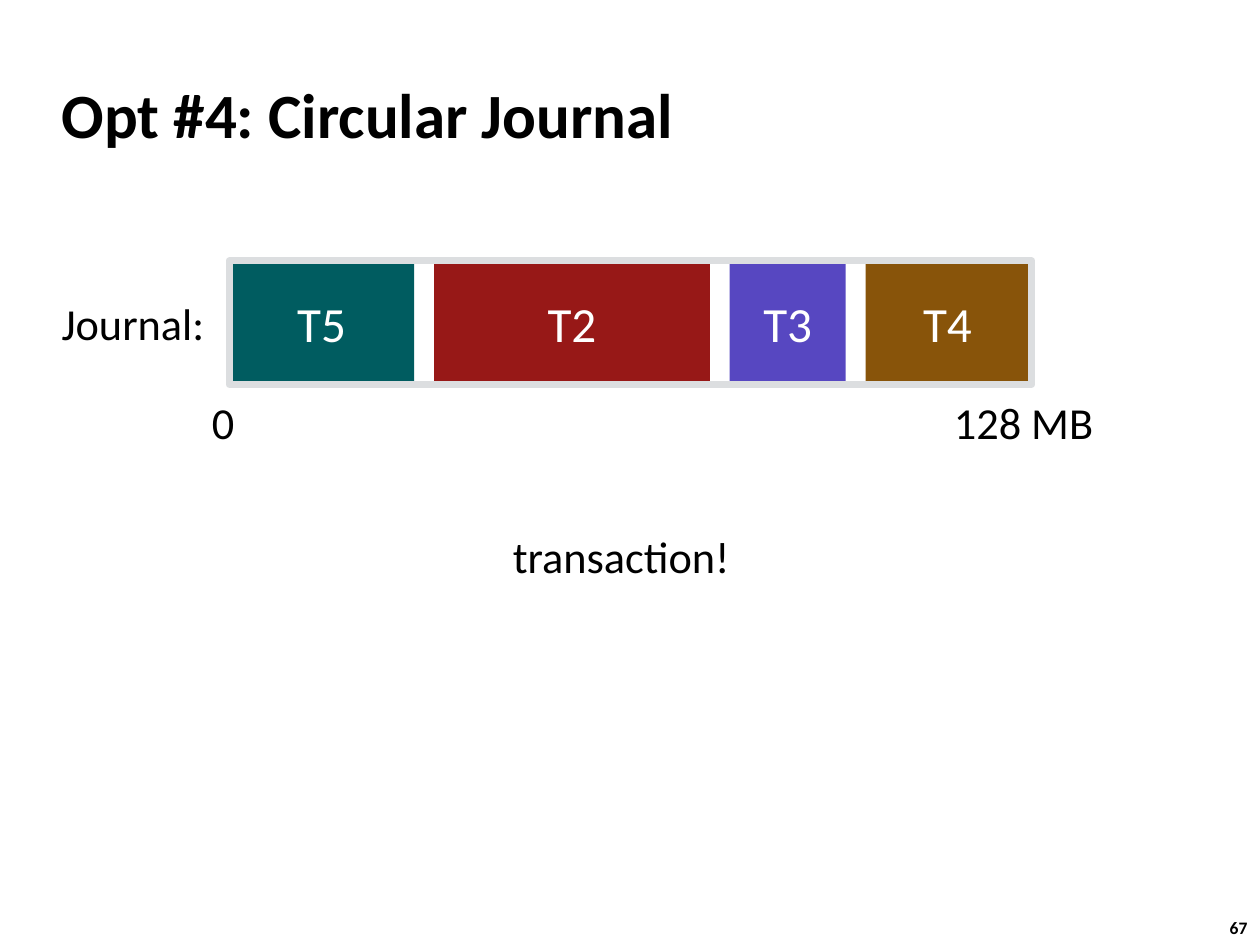
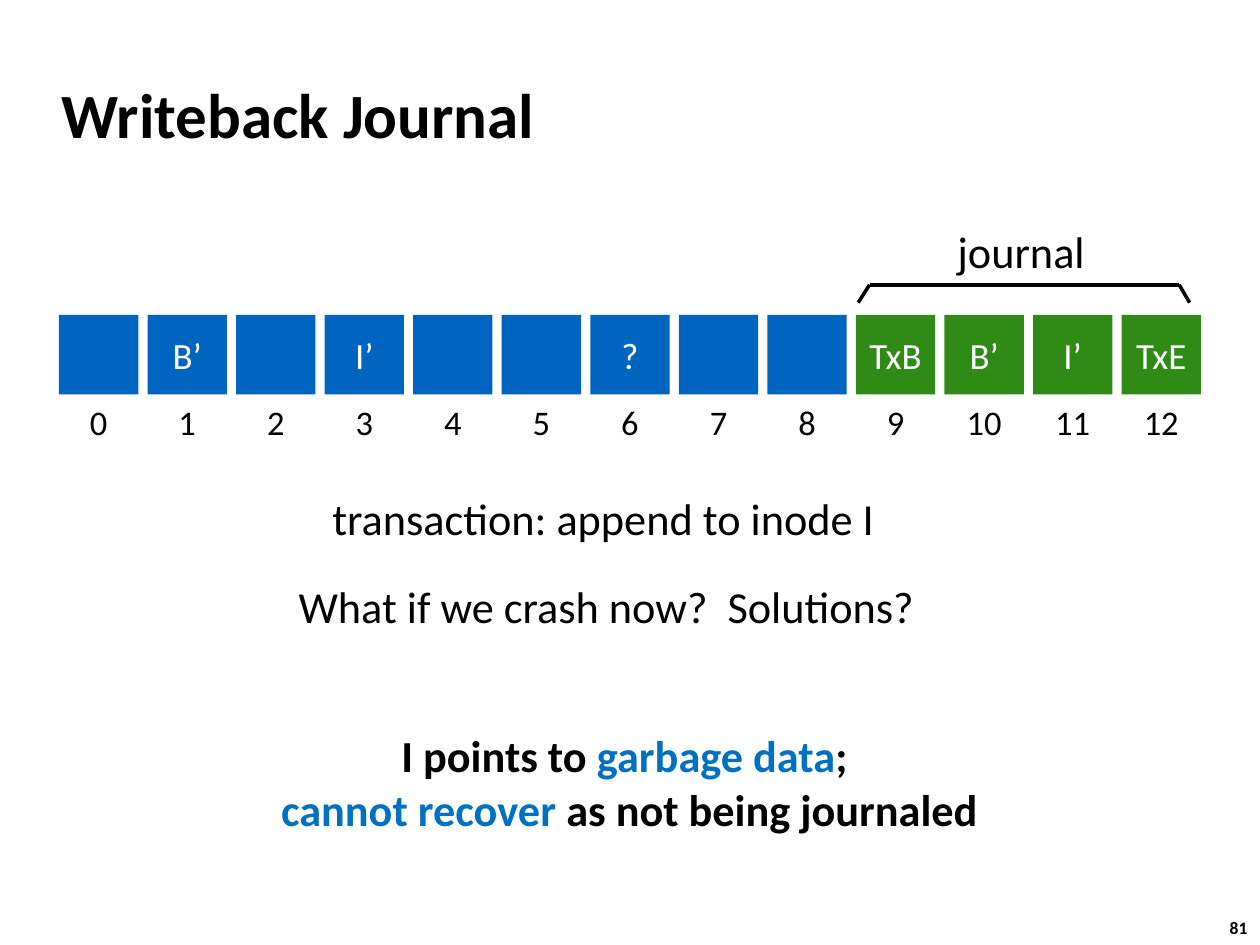
from lxml import etree
from pptx import Presentation
from pptx.dml.color import RGBColor
from pptx.enum.shapes import MSO_CONNECTOR, MSO_SHAPE
from pptx.enum.text import MSO_ANCHOR, PP_ALIGN
from pptx.oxml.ns import qn
from pptx.util import Cm, Pt

RECT = MSO_SHAPE.RECTANGLE
STRAIGHT = MSO_CONNECTOR.STRAIGHT
MIDDLE, TOP = MSO_ANCHOR.MIDDLE, MSO_ANCHOR.TOP
LEFT, CENTER, RIGHT = PP_ALIGN.LEFT, PP_ALIGN.CENTER, PP_ALIGN.RIGHT

BLACK = RGBColor(0x00, 0x00, 0x00)
WHITE = RGBColor(0xFF, 0xFF, 0xFF)
FRAME_GREY = RGBColor(0xDC, 0xDE, 0xE0)
TEAL = RGBColor(0x00, 0x5C, 0x60)
RED = RGBColor(0x97, 0x18, 0x17)
PURPLE = RGBColor(0x57, 0x47, 0xC1)
BROWN = RGBColor(0x88, 0x54, 0x0A)
BLOCK_BLUE = RGBColor(0x00, 0x65, 0xC1)
JOURNAL_GREEN = RGBColor(0x30, 0x8B, 0x16)
ACCENT_BLUE = RGBColor(0x00, 0x70, 0xC0)


class Deck:
    font = "Calibri"
    body_size = 25.3

    def __init__(self):
        self.prs = Presentation()
        self.prs.slide_width = Cm(25.4)
        self.prs.slide_height = Cm(19.05)
        self.s = None

    def slide(self, title, number):
        self.s = self.prs.slides.add_slide(self.prs.slide_layouts[6])
        self.text(24.54, 18.36, 0.94, 0.69, number, size=10, bold=True,
                  anchor=TOP, inset=(0.25, 0.13))
        self.text(0.99, 1.24, 21.08, 2.11, title, size=36, bold=True,
                  inset=(0.25, 0.13), wrap=True)

    def fill_text(self, sp, lines, size, color=BLACK, bold=False, align=LEFT,
                  anchor=MIDDLE, inset=(0.1, 0.1), wrap=False):
        tf = sp.text_frame
        dx, dy = (Cm(v) for v in inset)
        frame = {"word_wrap": wrap, "vertical_anchor": anchor,
                 "margin_left": dx, "margin_right": dx,
                 "margin_top": dy, "margin_bottom": dy}
        for name, value in frame.items():
            setattr(tf, name, value)
        if isinstance(lines, str):
            lines = [[(lines, color)]]
        for i, runs in enumerate(lines):
            p = tf.add_paragraph() if i else tf.paragraphs[0]
            p.alignment = align
            for words, run_color in runs:
                r = p.add_run()
                r.text = words
                for name, value in {"name": self.font, "size": Pt(size), "bold": bold}.items():
                    setattr(r.font, name, value)
                r.font.color.rgb = run_color

    def text(self, x, y, w, h, lines, size=body_size, **style):
        sp = self.s.shapes.add_textbox(Cm(x), Cm(y), Cm(w), Cm(h))
        self.fill_text(sp, lines, size, **style)

    def box(self, x, y, w, h, fill=None, label="", size=28.1, line=None, line_width=4):
        sp = self.s.shapes.add_shape(RECT, Cm(x), Cm(y), Cm(w), Cm(h))
        sp.shadow.inherit = False
        if fill is None:
            sp.fill.background()
        else:
            sp.fill.solid()
            sp.fill.fore_color.rgb = fill
        if line is None:
            sp.line.fill.background()
        else:
            sp.line.color.rgb = line
            sp.line.width = Pt(line_width)
        if label:
            self.fill_text(sp, label, size, color=WHITE, align=CENTER, inset=(0, 0))

    def line(self, start, end, color=BLACK, width=2):
        c = self.s.shapes.add_connector(STRAIGHT, *(Cm(v) for v in start + end))
        c.line.color.rgb = color
        c.line.width = Pt(width)
        etree.SubElement(c._element.spPr, qn("a:effectLst"))


def circular_journal(deck):
    deck.slide("Opt #4: Circular Journal", "67")
    left, top, height, gap = 4.62, 5.26, 2.49, 0.4
    x = left
    for label, width, fill in [("T5", 3.73, TEAL), ("T2", 5.56, RED),
                               ("T3", 2.34, PURPLE), ("T4", 3.3, BROWN)]:
        deck.box(x, top, width, height, fill, label)
        x += width + gap
    deck.box(left, top, 16.18, height, line=FRAME_GREY)
    deck.text(1.12, 5.87, 3.1, 1.27, "Journal:", align=RIGHT)
    deck.text(4.17, 7.87, 0.66, 1.27, "0")
    deck.text(19.13, 7.87, 3.05, 1.27, "128 MB")
    deck.text(10.24, 10.57, 4.62, 1.27, "transaction!")


def writeback_journal(deck):
    deck.slide("Writeback Journal", "81")
    labels = ["", "B’", "", "I’", "", "", "?", "", "", "TxB", "B’", "I’", "TxE"]
    journal_start = 9
    left, right, top, side = 1.19, 24.21, 6.35, 1.6
    pitch = (right - left - side) / (len(labels) - 1)
    for i, label in enumerate(labels):
        x = left + i * pitch
        fill = BLOCK_BLUE if i < journal_start else JOURNAL_GREEN
        deck.box(x, top, side, side, fill, label, size=21.1)
        deck.text(x, 7.98, side, 1.04, str(i), size=19.7, align=CENTER)

    bar_left, bar_right = (17.53, 5.74), (23.77, 5.74)
    for start, end in [(bar_left, bar_right), (bar_left, (17.3, 6.1)),
                       (bar_right, (23.98, 6.1))]:
        deck.line(start, end)
    deck.text(19.2, 4.42, 2.79, 1.27, "journal")

    deck.text(6.6, 9.8, 11.23, 1.27, "transaction: append to inode I")
    deck.text(5.92, 11.58, 12.73, 1.27, "What if we crash now?  Solutions?")
    deck.text(5.49, 14.58, 14.4, 2.36, [
        [("I points to ", BLACK), ("garbage data", ACCENT_BLUE), ("; ", BLACK)],
        [("cannot recover ", ACCENT_BLUE), ("as not being journaled", BLACK)],
    ], bold=True, align=CENTER)


def main():
    deck = Deck()
    circular_journal(deck)
    writeback_journal(deck)
    deck.prs.save("out.pptx")


if __name__ == "__main__":
    main()
